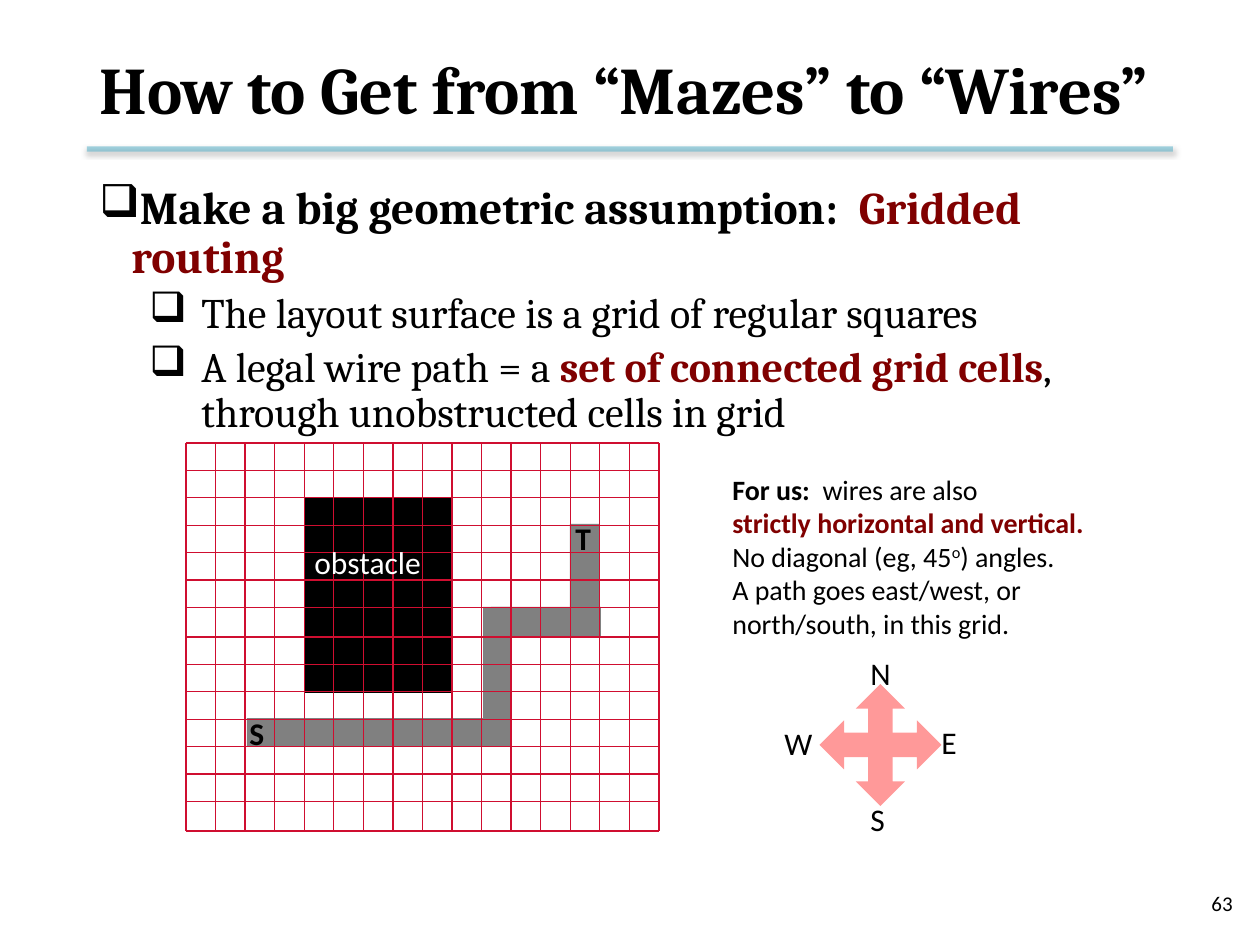
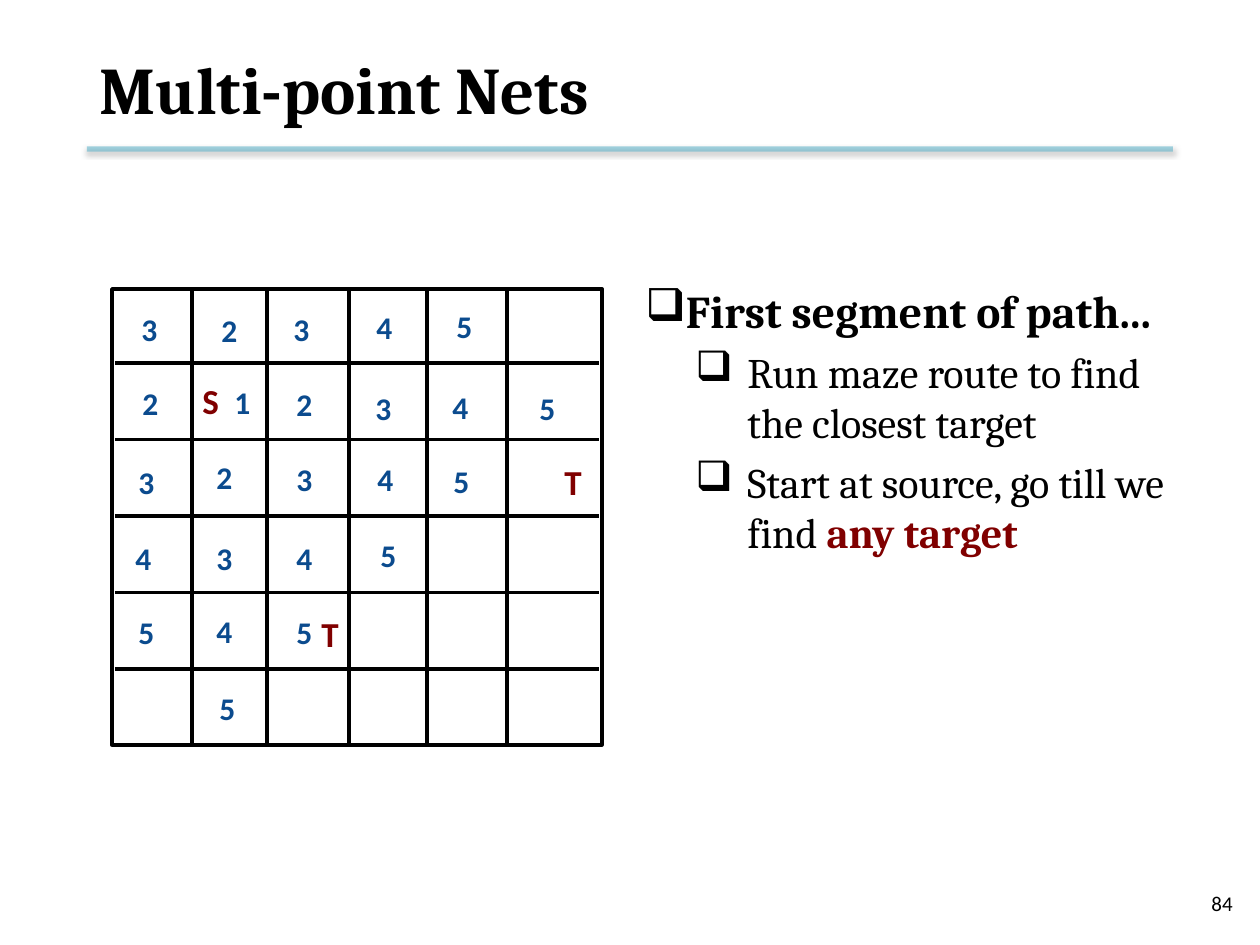
from lxml.etree import SubElement
from pptx import Presentation
from pptx.dml.color import RGBColor
from pptx.enum.shapes import MSO_CONNECTOR, MSO_SHAPE
from pptx.enum.text import MSO_ANCHOR, MSO_AUTO_SIZE, PP_ALIGN
from pptx.oxml.ns import qn
from pptx.util import Emu, Pt

PX = 914400 / 126
SLIDE_SIZE = (1260, 945)

BLACK = RGBColor(0x00, 0x00, 0x00)
WHITE = RGBColor(0xFF, 0xFF, 0xFF)
GRAY = RGBColor(0x80, 0x80, 0x80)
MAROON = RGBColor(0x80, 0x00, 0x00)
CRIMSON = RGBColor(0xCF, 0x0E, 0x30)
PINK = RGBColor(0xFF, 0x99, 0x99)
BLUE = RGBColor(0x0B, 0x4B, 0x8E)
AQUA = RGBColor(0x4B, 0xAC, 0xC6)

BODY_FONT = "Cambria"
LABEL_FONT = "Calibri"
BULLET = "❑"
BULLET_INDENTS = ((32, -57), (102, -52))
BULLET_SIZES = (26, 24)

WAVE = {
    1: [(110, 88)],
    2: [(97, 16), (172, 90), (18, 89), (92, 163)],
    3: [(169, 15), (251, 94), (172, 165), (92, 244), (14, 168), (17, 15)],
    4: [(252, 13), (328, 93), (253, 165), (172, 244), (92, 317), (11, 244)],
    5: [(332, 12), (415, 94), (329, 167), (256, 241), (172, 318), (95, 394), (14, 318)],
}
PINS = [("S", 78, 84), ("T", 197, 317), ("T", 440, 165)]


def px(length):
    """Turn a length in px into EMU."""
    return Emu(round(length * PX))


def add_span(para, text, size, color=BLACK, bold=False, font=LABEL_FONT):
    """Add one run to a paragraph and return it."""
    span = para.add_run()
    span.text = text
    span.font.name = font
    span.font.size = Pt(size)
    span.font.bold = bold
    span.font.color.rgb = color
    return span


def add_frame(page, box, wrap=True):
    """Add a text box and return its text frame."""
    frame = page.shapes.add_textbox(*map(px, box)).text_frame
    frame.word_wrap = wrap
    return frame


def add_label(page, box, text, size=18, color=BLACK, bold=False):
    """Add a one-line label that does not wrap."""
    frame = add_frame(page, box, wrap=False)
    frame.auto_size = MSO_AUTO_SIZE.SHAPE_TO_FIT_TEXT
    add_span(frame.paragraphs[0], text, size, color, bold)


def add_block(page, kind, box, fill=None, line=None, width=0.75):
    """Add a preset shape with a plain fill and outline."""
    shape = page.shapes.add_shape(kind, *map(px, box))
    shape.shadow.inherit = False
    if fill is None:
        shape.fill.background()
    else:
        shape.fill.solid()
        shape.fill.fore_color.rgb = fill
    if line is None:
        shape.line.fill.background()
    else:
        shape.line.color.rgb = line
        shape.line.width = Pt(width)
    return shape


def add_line(page, ends, color, width):
    """Add a straight line and return it with its effect list."""
    line = page.shapes.add_connector(MSO_CONNECTOR.STRAIGHT, *map(px, ends))
    line.line.color.rgb = color
    line.line.width = Pt(width)
    effects = SubElement(line._element.spPr, qn("a:effectLst"))
    return line, effects


def add_title_rule(page):
    """Draw the translucent rule with its shadow under the title."""
    rule, effects = add_line(page, (87, 149, 1173, 149), AQUA, 3)
    color = next(rule._element.spPr.iter(qn("a:srgbClr")))
    SubElement(color, qn("a:alpha"), val="50000")
    shadow = SubElement(effects, qn("a:outerShdw"), blurRad=str(Pt(3.1)),
                        dist=str(Pt(1.6)), dir="5400000", rotWithShape="0")
    tint = SubElement(shadow, qn("a:srgbClr"), val="000000")
    SubElement(tint, qn("a:alpha"), val="38000")


def add_page(deck, title, number):
    """Add a slide with the shared rule, page number and title."""
    page = deck.slides.add_slide(deck.slide_layouts[6])
    add_title_rule(page)
    footer = add_frame(page, (951, 878, 294, 50))
    footer.vertical_anchor = MSO_ANCHOR.MIDDLE
    footer.paragraphs[0].alignment = PP_ALIGN.RIGHT
    add_span(footer.paragraphs[0], number, 12)
    heading = add_frame(page, (87, 21, 1086, 134))
    heading.vertical_anchor = MSO_ANCHOR.MIDDLE
    add_span(heading.paragraphs[0], title, 38, bold=True, font=BODY_FONT)
    return page


def add_bullets(page, box, items, line_spacing=1.0):
    """Fill a box with bullets given as a level and its spans."""
    frame = add_frame(page, box)
    for index, (level, spans) in enumerate(items):
        para = frame.add_paragraph() if index else frame.paragraphs[0]
        para.level = level
        margin, indent = BULLET_INDENTS[level]
        props = para._p.get_or_add_pPr()
        props.set("marL", str(px(margin)))
        props.set("indent", str(px(indent)))
        SubElement(props, qn("a:buChar"), char=BULLET)
        para.line_spacing = line_spacing
        if index:
            para.space_before = Pt(5)
        for text, color, bold in spans:
            add_span(para, text, BULLET_SIZES[level], color, bold, BODY_FONT)


def add_routing_grid(page, left, top):
    """Draw the routing grid with its obstacle and the wire from S to T."""
    columns, width, half_height = 16, 473, 194
    add_block(page, MSO_SHAPE.RECTANGLE, (left + 119, top + 56, 146, 193), BLACK, BLACK)
    wire = [(384, 81, 30, 106), (305, 164, 110, 31), (297, 164, 29, 121), (61, 275, 265, 29)]
    for x, y, w, h in wire:
        add_block(page, MSO_SHAPE.RECTANGLE, (left + x, top + y, w, h), GRAY)
    rows = []
    for half_top in (top, top + half_height):
        for column in range(columns + 1):
            x = left + column * width / columns
            add_line(page, (x, half_top, x, half_top + half_height), CRIMSON, 0.75)
        rows += [half_top + row * 27.4 for row in range(7)]
    for y in rows + [top + 2 * half_height]:
        add_line(page, (left, y, left + width, y), CRIMSON, 0.75)
    add_label(page, (left + 51, top + 265, 47, 50), "S", bold=True)
    add_label(page, (left + 377, top + 70, 47, 50), "T", bold=True)
    add_label(page, (left + 116, top + 94, 142, 50), "obstacle", color=WHITE)


def add_direction_note(page, box):
    """Write the note on the allowed wire directions."""
    frame = add_frame(page, box, wrap=False)
    frame.auto_size = MSO_AUTO_SIZE.SHAPE_TO_FIT_TEXT
    first = frame.paragraphs[0]
    add_span(first, "For us: ", 16, bold=True)
    add_span(first, " wires are also", 16)
    add_span(frame.add_paragraph(), "strictly horizontal and vertical.", 16, MAROON, True)
    angles = frame.add_paragraph()
    add_span(angles, "No diagonal (eg, 45", 16)
    degree = add_span(angles, "o", 16)
    degree.font._element.set("baseline", "30000")
    add_span(angles, ") angles.", 16)
    last = frame.add_paragraph()
    add_span(last, "A path goes east/west, or", 16)
    last.add_line_break()
    add_span(last, "north/south, in this grid.", 16)


def add_compass(page, left, top):
    """Draw the crossed arrows and their four directions."""
    for angle in (0, 90):
        arrow = add_block(page, MSO_SHAPE.UP_DOWN_ARROW, (left + 84, top + 36, 49, 122), PINK)
        arrow.rotation = angle
    for text, x, y in [("N", 86, 0), ("S", 86, 146), ("E", 157, 69), ("W", 0, 70)]:
        add_label(page, (left + x, top + y, 55 if text == "W" else 47, 50), text)


def add_wave_grid(page, left, top):
    """Draw the maze grid with distances, source and targets."""
    width, height = 490, 456
    add_block(page, MSO_SHAPE.RECTANGLE, (left, top, width, height), line=BLACK, width=2)
    for row in range(5):
        y = top + 74 + row * 76.5
        add_line(page, (left + 3, y, left + width - 3, y), BLACK, 2)
    for column in (80, 155, 237, 315, 395):
        x = left + column
        add_line(page, (x, top, x, top + height), BLACK, 2)
    for text, x, y in PINS:
        add_label(page, (left + x, top + y, 48, 54), text, 20, MAROON, True)
    for distance, places in WAVE.items():
        for x, y in places:
            add_label(page, (left + x, top + y, 43, 50), str(distance), 18, BLUE, True)


def build_wires_page(deck):
    """Build the slide on gridded routing."""
    page = add_page(deck, "How to Get from “Mazes” to “Wires”", "63")
    add_bullets(page, (87, 179, 1086, 643), [
        (0, [("Make a big geometric assumption: ", BLACK, True),
             (" Gridded routing", MAROON, True)]),
        (1, [("The layout surface is a grid of regular squares", BLACK, False)]),
        (1, [("A legal wire path = a ", BLACK, False),
             ("set of connected grid cells", MAROON, True),
             (", through unobstructed cells in grid", BLACK, False)]),
    ], line_spacing=0.9)
    add_routing_grid(page, 186, 443)
    add_direction_note(page, (720, 466, 434, 183))
    add_compass(page, 772, 648)


def build_nets_page(deck):
    """Build the slide on nets with several targets."""
    page = add_page(deck, "Multi-point Nets", "84")
    add_bullets(page, (633, 277, 562, 534), [
        (0, [("First segment of path...", BLACK, True)]),
        (1, [("Run maze route to find the closest target", BLACK, False)]),
        (1, [("Start at source, go till we find", BLACK, False),
             (" any target", MAROON, True)]),
    ])
    add_wave_grid(page, 112, 289)


def main():
    """Build the deck and save it."""
    deck = Presentation()
    deck.slide_width, deck.slide_height = map(px, SLIDE_SIZE)
    build_wires_page(deck)
    build_nets_page(deck)
    deck.save("out.pptx")


if __name__ == "__main__":
    main()
